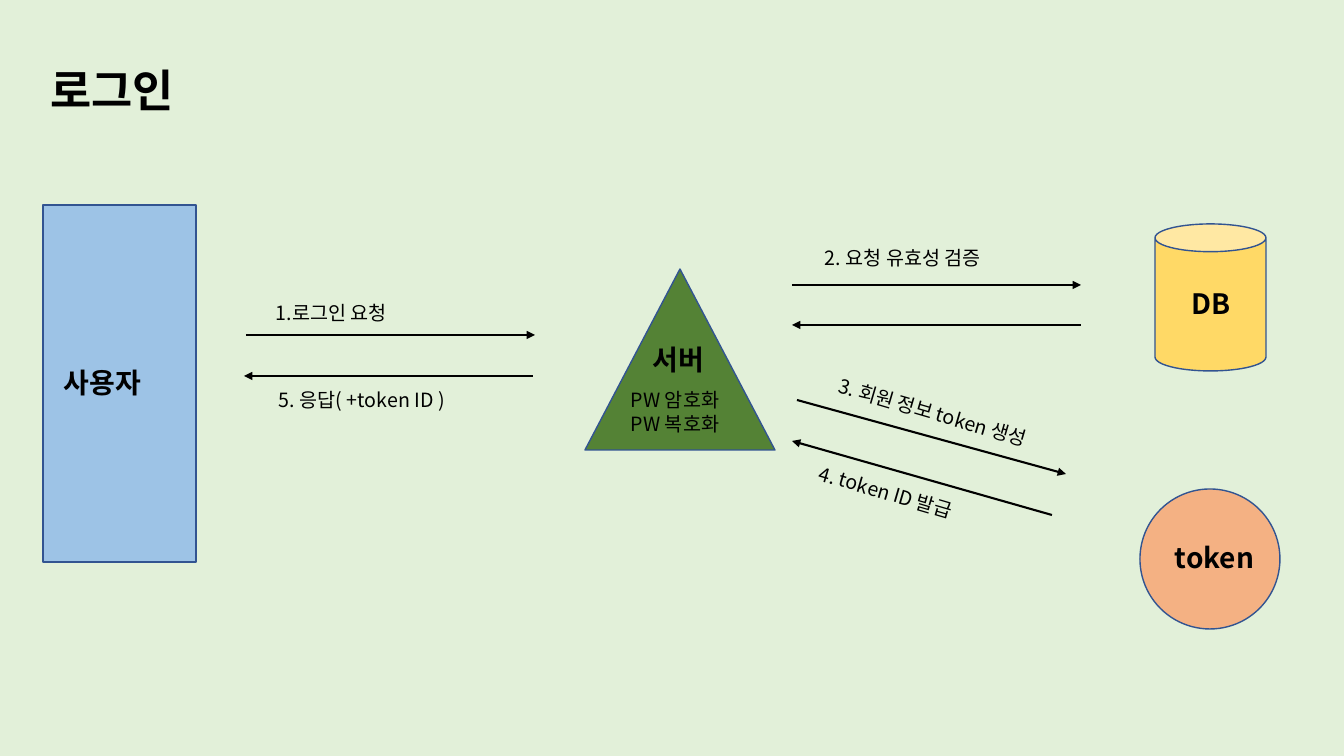
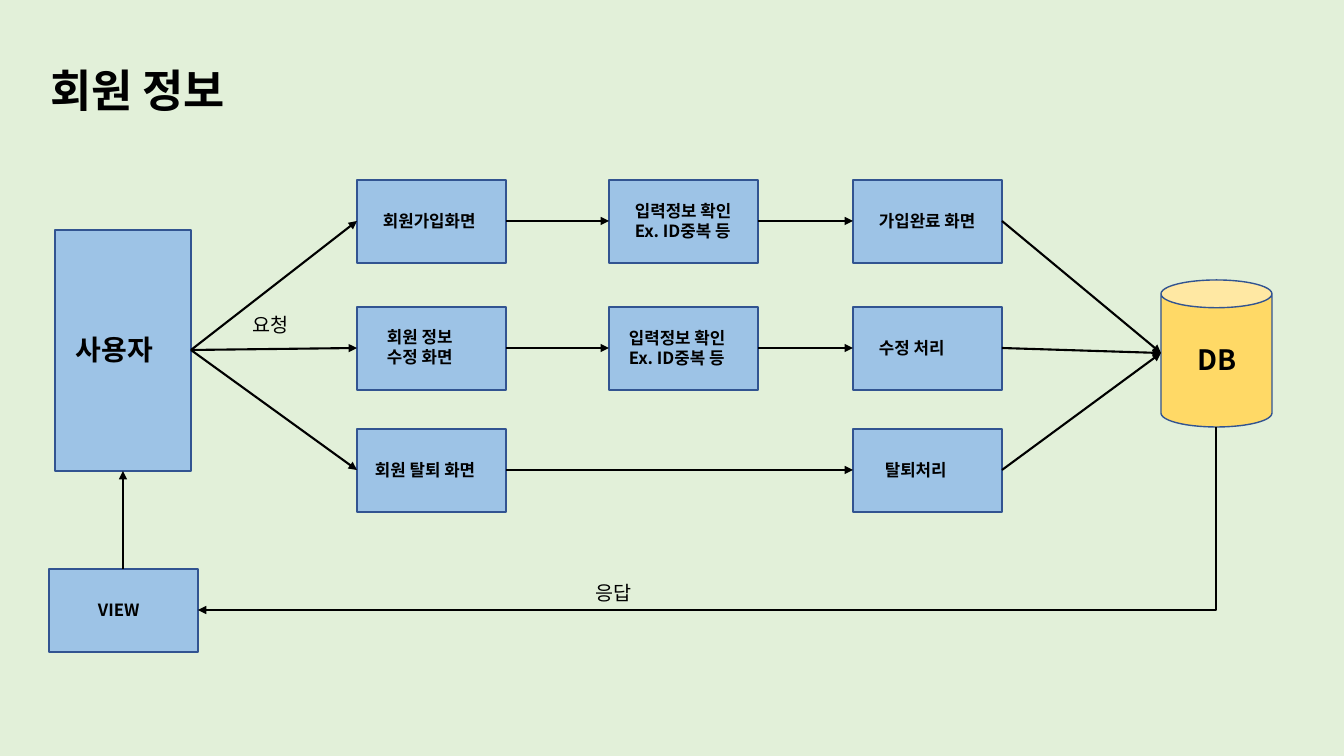
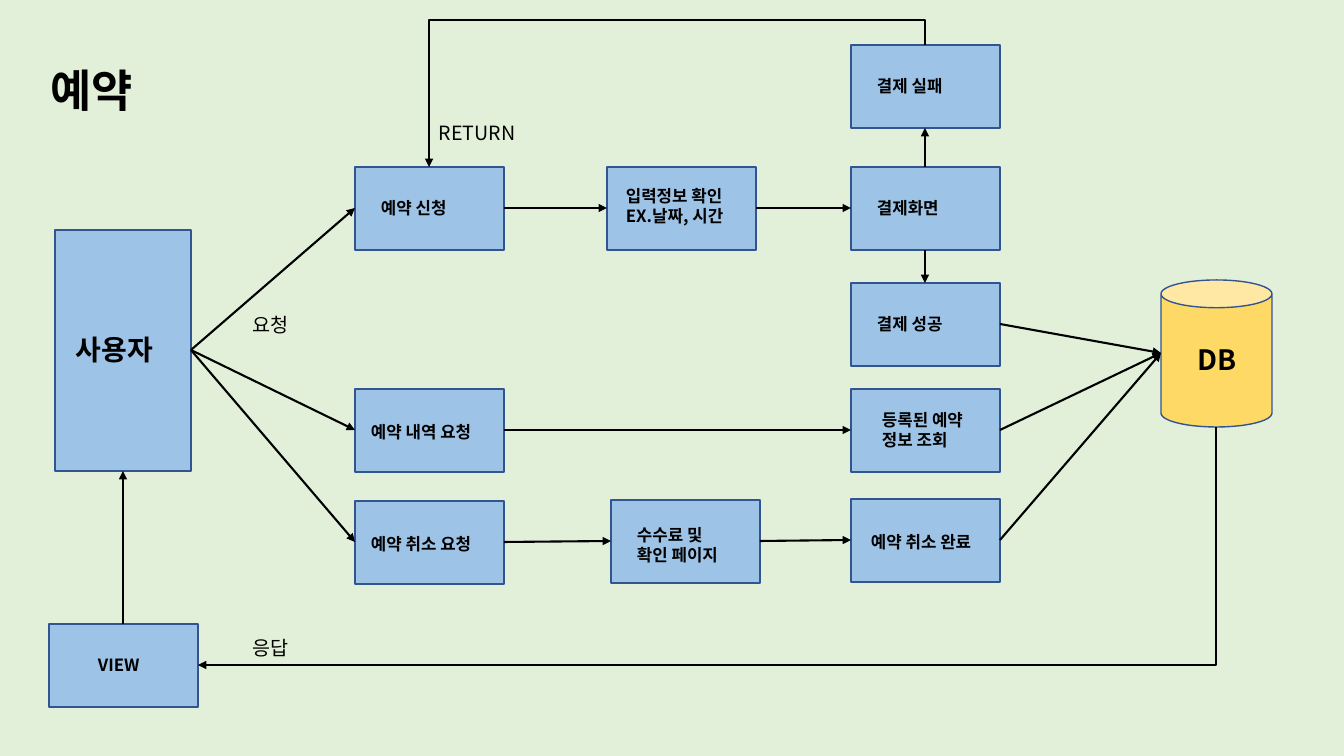
from collections import namedtuple

from lxml.etree import SubElement
from pptx import Presentation
from pptx.dml.color import RGBColor
from pptx.enum.shapes import MSO_CONNECTOR, MSO_SHAPE
from pptx.enum.text import MSO_ANCHOR, PP_ALIGN
from pptx.oxml.ns import qn
from pptx.util import Pt

SCALE = 914400 / 100.8
FONT = "Noto Sans CJK KR"
COLORS = {
    "page": "E2F0D9",
    "blue": "9DC3E6",
    "yellow": "FFD966",
    "orange": "F4B183",
    "green": "548235",
    "outline": "325491",
    "ink": "000000",
}
NODE_WIDTH, NODE_HEIGHT = 149, 83
LABEL_HEIGHTS = {1: 30, 2: 50}
Area = namedtuple("Area", "left top width height")


def px(length):
    """Turn pixels into EMU."""
    return round(length * SCALE)


def color(name):
    """Look up a palette colour."""
    return RGBColor.from_string(COLORS[name])


def edge(area, side):
    """Return the middle of one side of an area."""
    middle_x = area.left + area.width // 2
    middle_y = area.top + area.height // 2
    return {
        "left": (area.left, middle_y),
        "right": (area.left + area.width, middle_y),
        "top": (middle_x, area.top),
        "bottom": (middle_x, area.top + area.height),
    }[side]


def write(frame, lines, size, bold):
    """Fill a text frame with one left-aligned paragraph per line."""
    frame.word_wrap = True
    frame.vertical_anchor = MSO_ANCHOR.TOP
    for index, line in enumerate(lines):
        para = frame.add_paragraph() if index else frame.paragraphs[0]
        para.alignment = PP_ALIGN.LEFT
        span = para.add_run()
        span.text = line
        span.font.size = Pt(size)
        span.font.bold = bold
        span.font.name = FONT
        span.font.color.rgb = color("ink")
        SubElement(span.font._element, qn("a:ea"), typeface=FONT)


def add_page(deck, title):
    """Add a title-only page with the shared title style."""
    page = deck.slides.add_slide(deck.slide_layouts[5])
    heading = page.shapes.title
    heading.left, heading.top = px(40), px(58)
    heading.width, heading.height = px(578), px(64)
    write(heading.text_frame, [title], 32, True)
    return page


def add_text(page, area, *lines, size=14, bold=False, rotation=0):
    """Add a text box."""
    box = page.shapes.add_textbox(*map(px, area))
    box.rotation = rotation
    write(box.text_frame, lines, size, bold)


def add_figure(page, kind, area, fill):
    """Add an outlined preset shape and return its area."""
    shape = page.shapes.add_shape(kind, *map(px, area))
    shape.shadow.inherit = False
    shape.fill.solid()
    shape.fill.fore_color.rgb = color(fill)
    shape.line.color.rgb = color("outline")
    shape.line.width = Pt(1)
    return area


def add_node(page, left, top, *lines, indent=16, drop=0):
    """Add a process box with its label and return its area."""
    area = Area(left, top, NODE_WIDTH, NODE_HEIGHT)
    add_figure(page, MSO_SHAPE.RECTANGLE, area, "blue")
    height = LABEL_HEIGHTS[len(lines)]
    label_top = top + (NODE_HEIGHT - height) // 2 + drop
    label = Area(left + indent, label_top, NODE_WIDTH - indent, height)
    add_text(page, label, *lines, size=12, bold=True)
    return area


def add_user(page, area):
    """Add the user block and return its area."""
    add_figure(page, MSO_SHAPE.RECTANGLE, area, "blue")
    label = Area(area.left + 11, area.top + area.height // 2 - 22, 114, 44)
    add_text(page, label, "사용자", size=20, bold=True)
    return area


def add_database(page, left, top):
    """Add the database cylinder and return its area."""
    area = add_figure(page, MSO_SHAPE.CAN, Area(left, top, 111, 147), "yellow")
    add_text(page, Area(left + 27, top + 58, 91, 44), "DB", size=20, bold=True)
    return area


def finish_line(line):
    """Give a connector its stroke and arrowhead, without shadow."""
    line.line.color.rgb = color("ink")
    line.line.width = Pt(1.5)
    SubElement(line.line._get_or_add_ln(), qn("a:tailEnd"), type="triangle")
    SubElement(line._element.spPr, qn("a:effectLst"))


def add_arrow(page, start, end):
    """Add a straight arrow between two points."""
    finish_line(page.shapes.add_connector(
        MSO_CONNECTOR.STRAIGHT, *map(px, start + end)))


def link(page, source, target):
    """Join the right side of one area to the left side of another."""
    add_arrow(page, edge(source, "right"), edge(target, "left"))


def add_elbow(page, start, end, rise=None):
    """Add an arrow that bends down and left, or first rises above its start."""
    run, fall = start[0] - end[0], end[1] - start[1]
    left = (start[0] + end[0] - fall) / 2
    top = (start[1] + end[1] - run) / 2
    line = page.shapes.add_connector(
        MSO_CONNECTOR.ELBOW, px(left), px(top), px(left + fall), px(top + run))
    properties = line._element.spPr
    properties.find(qn("a:xfrm")).set("rot", "5400000")
    geometry = properties.find(qn("a:prstGeom"))
    if rise is None:
        geometry.set("prst", "bentConnector2")
    else:
        ratio = round(-100000 * rise / fall)
        SubElement(geometry.find(qn("a:avLst")), qn("a:gd"),
                   name="adj1", fmla=f"val {ratio}")
    finish_line(line)


def add_frame(page, view_top, answer_left):
    """Add user, database and the answer route; return the first two."""
    user = add_user(page, Area(55, 230, 136, 241))
    database = add_database(page, 1161, 280)
    view = add_node(page, 49, view_top, "VIEW", indent=39)
    add_text(page, Area(243, 308, 80, 34), "요청")
    add_text(page, Area(answer_left, view_top + 7, 80, 34), "응답")
    add_elbow(page, edge(database, "bottom"), edge(view, "right"))
    add_arrow(page, edge(view, "top"), edge(user, "bottom"))
    return user, database


def build_login(deck):
    """Build the login page."""
    page = add_page(deck, "로그인")
    add_database(page, 1155, 224)
    add_figure(page, MSO_SHAPE.OVAL, Area(1140, 489, 140, 140), "orange")
    add_text(page, Area(1165, 536, 100, 44), "token", size=20, bold=True)
    add_user(page, Area(43, 205, 153, 357))
    add_figure(page, MSO_SHAPE.ISOSCELES_TRIANGLE,
               Area(585, 269, 190, 181), "green")
    add_text(page, Area(643, 338, 91, 44), "서버", size=20, bold=True)
    add_text(page, Area(621, 383, 119, 57), "PW 암호화", "PW 복호화")

    for start, end in (
        ((246, 335), (535, 335)), ((533, 376), (244, 376)),
        ((792, 285), (1081, 285)), ((1081, 325), (792, 325)),
        ((797, 400), (1066, 474)), ((1052, 515), (792, 441)),
    ):
        add_arrow(page, start, end)

    for area, line, rotation in (
        (Area(266, 296, 243, 34), "1.로그인 요청", 0),
        (Area(815, 241, 205, 34), "2. 요청 유효성 검증", 0),
        (Area(825, 398, 234, 34), "3. 회원 정보 token 생성", 16.3),
        (Area(806, 484, 220, 34), "4. token ID 발급", 16.3),
        (Area(269, 383, 220, 34), "5. 응답( +token ID )", 0),
    ):
        add_text(page, area, line, rotation=rotation)


def build_members(deck):
    """Build the member information page."""
    page = add_page(deck, "회원 정보")
    user, database = add_frame(page, 569, 586)
    first, second, third = 357, 609, 853
    join, edit, leave = 180, 307, 429
    check = ("입력정보 확인", "Ex. ID중복 등")
    rows = (
        (add_node(page, first, join, "회원가입화면"),
         add_node(page, second, join, *check),
         add_node(page, third, join, "가입완료 화면")),
        (add_node(page, first, edit, "회원 정보", "수정 화면", indent=20, drop=-1),
         add_node(page, second, edit, *check, indent=10),
         add_node(page, third, edit, "수정 처리")),
        (add_node(page, first, leave, "회원 탈퇴 화면", indent=8),
         add_node(page, third, leave, "탈퇴처리", indent=22)),
    )
    for row in rows:
        stops = (user, *row, database)
        for source, target in zip(stops, stops[1:]):
            link(page, source, target)


def build_booking(deck):
    """Build the booking page."""
    page = add_page(deck, "예약")
    user, database = add_frame(page, 624, 243)
    first, second, third = 355, 607, 851
    apply = add_node(page, first, 167, "예약 신청")
    check = add_node(page, second, 167, "입력정보 확인", "EX.날짜, 시간",
                     indent=9, drop=-2)
    payment = add_node(page, third, 167, "결제화면")
    failure = add_node(page, third, 45, "결제 실패")
    success = add_node(page, third, 283, "결제 성공")
    history = add_node(page, first, 389, "예약 내역 요청", indent=6, drop=2)
    lookup = add_node(page, third, 389, "등록된 예약", "정보 조회", indent=21)
    cancel = add_node(page, first, 501, "예약 취소 요청", indent=6, drop=2)
    fee = add_node(page, second + 4, 500, "수수료 및", "확인 페이지", drop=4)
    cancelled = add_node(page, third, 499, "예약 취소 완료", indent=10, drop=2)

    for stops in (
        (user, apply, check, payment),
        (success, database),
        (user, history, lookup, database),
        (user, cancel, fee, cancelled, database),
    ):
        for source, target in zip(stops, stops[1:]):
            link(page, source, target)
    add_arrow(page, edge(payment, "top"), edge(failure, "bottom"))
    add_arrow(page, edge(payment, "bottom"), edge(success, "top"))
    add_elbow(page, edge(failure, "top"), edge(apply, "top"), rise=25)
    add_text(page, Area(429, 116, 106, 34), "RETURN")


def main():
    """Build and save the deck."""
    deck = Presentation()
    deck.slide_width, deck.slide_height = px(1344), px(756)
    background = deck.slide_master.background.fill
    background.solid()
    background.fore_color.rgb = color("page")
    build_login(deck)
    build_members(deck)
    build_booking(deck)
    deck.save("out.pptx")


main()
